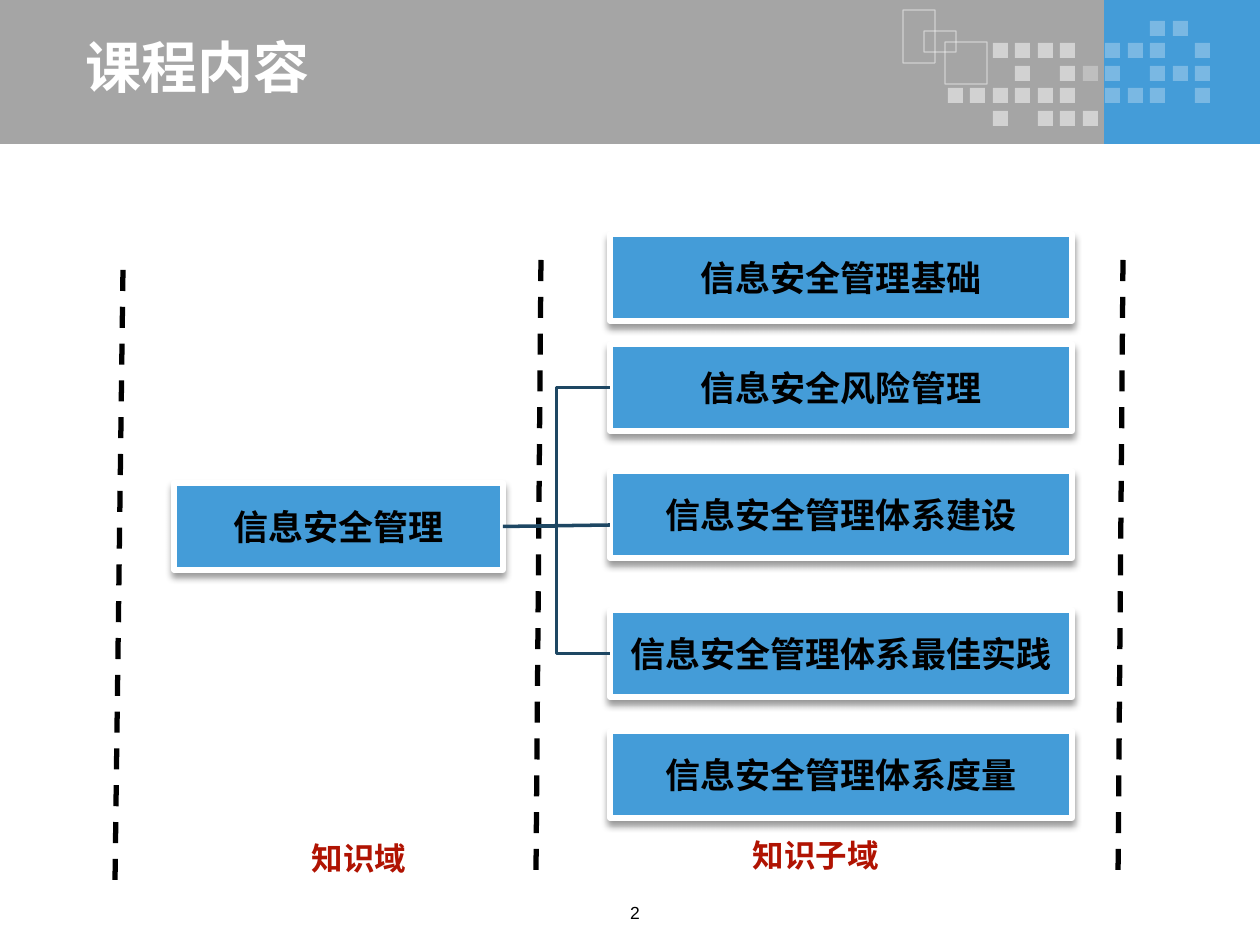
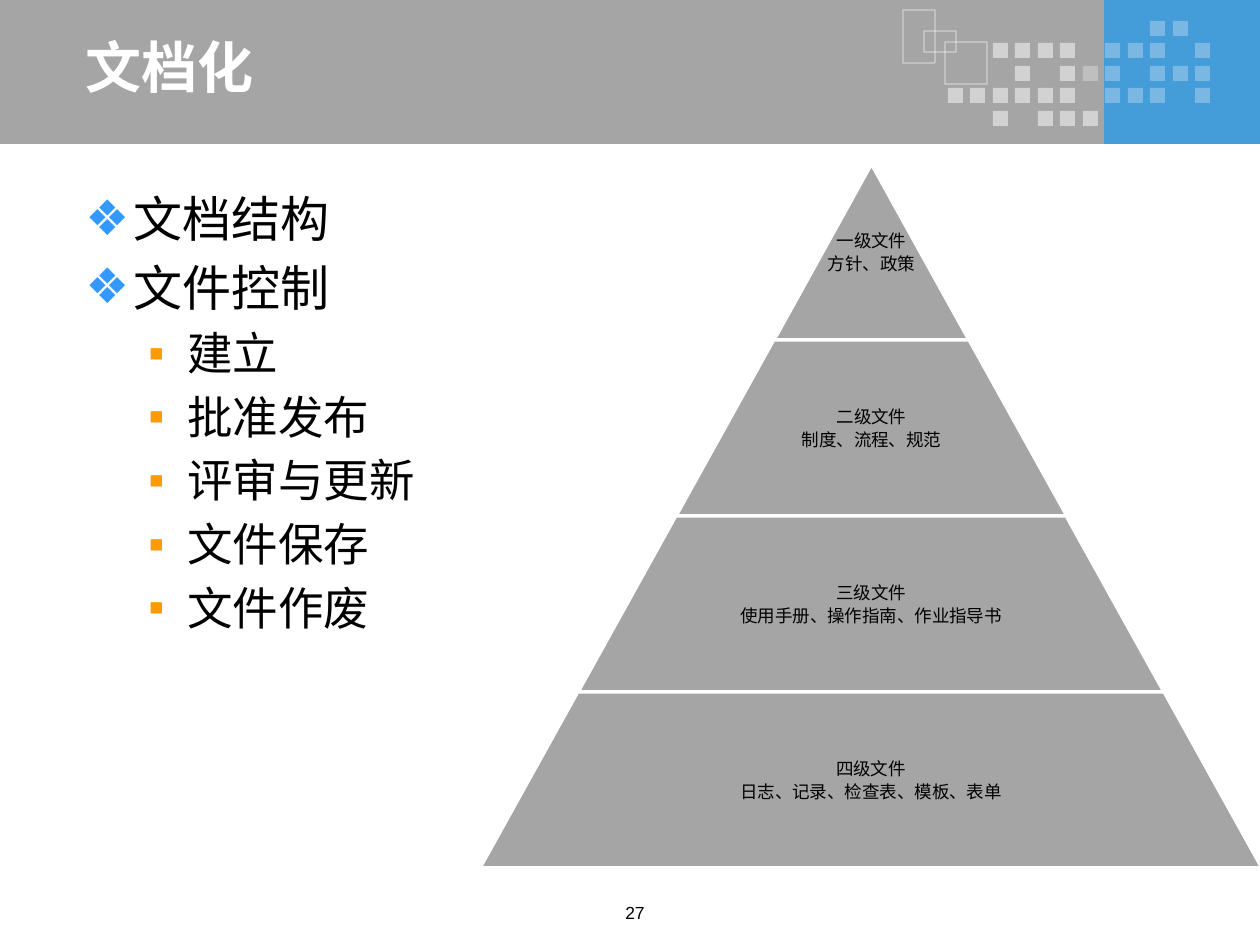
from dataclasses import dataclass
from lxml.etree import SubElement
from pptx import Presentation
from pptx.dml.color import RGBColor as RGB
from pptx.enum.dml import MSO_LINE as Dash
from pptx.enum.shapes import MSO_CONNECTOR as Wire, MSO_SHAPE as Kind
from pptx.enum.text import MSO_ANCHOR as Anchor, PP_ALIGN as Align
from pptx.oxml.ns import qn
from pptx.util import Emu, Pt


@dataclass(frozen=True)
class Theme:
    blue: str = "449CD8"
    gray: str = "A5A5A5"
    white: str = "FFFFFF"
    black: str = "000000"
    red: str = "B01302"
    navy: str = "1E4763"
    sky: str = "3399FF"
    amber: str = "FF9900"
    latin: str = "Arial"
    han: str = "Noto Sans CJK SC"
    title: int = 32
    main: int = 28
    sub: int = 26
    node: int = 20
    label: int = 18
    small: int = 10


T = Theme()
PX = 914400 / 126  # EMU in one px


def box(slide, area, fill=None, line=None, width=1, alpha=100, kind=Kind.RECTANGLE):
    """Add a preset shape with plain fill, line and opacity."""
    shape = slide.shapes.add_shape(kind, *[Emu(round(v * PX)) for v in area])
    shape.shadow.inherit = False
    for part, color in ((shape.fill, fill), (shape.line.fill, line)):
        if color:
            part.solid()
            part.fore_color.rgb = RGB.from_string(color)
        else:
            part.background()
    if line:
        shape.line.width = Pt(width)
    if alpha < 100:
        for tone in shape.element.spPr.iter(qn("a:srgbClr")):
            SubElement(tone, qn("a:alpha"), val=str(alpha * 1000))
    return shape


def write(shape, lines, size, color=T.black, font=T.latin, bold=False,
          align=Align.CENTER, anchor=Anchor.TOP, wrap=True):
    """Fill a shape with paragraphs of one style and return them."""
    frame = shape.text_frame
    frame.text = "\n".join(lines)
    frame.word_wrap = wrap
    frame.vertical_anchor = anchor
    for para in frame.paragraphs:
        para.alignment = align
        para.font.size = Pt(size)
        para.font.bold = bold
        para.font.color.rgb = RGB.from_string(color)
        para.font.name = font
        SubElement(para._p.pPr.find(qn("a:defRPr")), qn("a:ea"), typeface=font)
    return frame.paragraphs


deck = Presentation()
deck.slide_width, deck.slide_height = Emu(round(1260 * PX)), Emu(round(945 * PX))

# Shared header, title and page number
DOTS = (".........oo.",
        "..####.ooo.o",
        "...#.#oo.ooo",
        "######.ooo.o",
        "..#.###.....")
FRAMES = ((903, 10, 32, 53), (924, 31, 32, 21), (945, 42, 42, 42))
for title, page in (("课程内容", "2"), ("文档化", "27")):
    slide = deck.slides.add_slide(deck.slide_layouts[6])
    box(slide, (1104, 0, 156, 144), T.blue)
    box(slide, (0, 0, 1104, 144), T.gray)
    for row, marks in enumerate(DOTS):
        for col, mark in enumerate(marks):
            if mark != ".":
                area = (948 + col * 45 // 2, 21 + row * 45 // 2, 15, 15)
                box(slide, area, T.white, alpha=50 if mark == "#" else 29)
    for area in FRAMES:
        box(slide, area, line=T.white, width=0.75, alpha=50)
    write(box(slide, (73, 33, 978, 67)), [title], T.title, T.white, T.han, True,
          Align.LEFT, Anchor.MIDDLE)
    write(box(slide, (577, 896, 116, 37)), [page], T.small)

course, docs = deck.slides

# Course: knowledge domain and its subdomains
NODES = (("信息安全管理", 174, 483, 329),
         ("信息安全管理基础", 610, 234, 462),
         ("信息安全风险管理", 610, 344, 462),
         ("信息安全管理体系建设", 610, 471, 462),
         ("信息安全管理体系最佳实践", 610, 610, 462),
         ("信息安全管理体系度量", 610, 731, 462))
nodes = []
for name, x, y, wide in NODES:
    node = box(course, (x, y, wide, 87), T.blue, T.white, 3)
    glow = SubElement(node.element.spPr.find(qn("a:effectLst")), qn("a:outerShdw"),
                      blurRad=str(Pt(4)), dist=str(Pt(3)), dir="5400000",
                      algn="ctr", rotWithShape="0")
    tone = SubElement(glow, qn("a:srgbClr"), val=T.black)
    SubElement(tone, qn("a:alpha"), val="40000")
    write(node, [name], T.node, bold=True, anchor=Anchor.MIDDLE, wrap=False)
    nodes.append(node)

# Course: column labels
for name, area in (("知识域", (284, 833, 150, 50)), ("知识子域", (697, 830, 238, 50))):
    write(box(course, area), [name], T.label, T.red, bold=True)

# Course: dashed dividers and branches, the last three from the domain
WIRES = ((Wire.STRAIGHT, 541, 260, 536, 872, None),
         (Wire.STRAIGHT, 1123, 260, 1118, 882, None),
         (Wire.STRAIGHT, 123, 270, 115, 882, None),
         (Wire.ELBOW, 503, 526, 610, 387, nodes[2]),
         (Wire.ELBOW, 503, 526, 610, 655, nodes[4]),
         (Wire.STRAIGHT, 503, 526, 610, 525, None))
for kind, x1, y1, x2, y2, goal in WIRES:
    ends = [Emu(round(v * PX)) for v in (x1, y1, x2, y2)]
    wire = course.shapes.add_connector(kind, *ends)
    SubElement(wire.element.spPr, qn("a:effectLst"))
    branch = x1 == 503
    wire.line.width = Pt(2 if branch else 3)
    wire.line.color.rgb = RGB.from_string(T.navy if branch else T.black)
    if branch:
        wire.begin_connect(nodes[0], 3)
    else:
        wire.line.dash_style = Dash.DASH
    if goal:
        wire.end_connect(goal, 1)

# Documents: bullet list
ITEMS = ("文档结构", "文件控制", "建立", "批准发布", "评审与更新", "文件保存", "文件作废")
body = box(docs, (73, 173, 400, 703))
for i, para in enumerate(write(body, ITEMS, T.main, font=T.han, align=Align.LEFT)):
    sign, color, left, hang, pitch = "❖", T.sky, 48, 48, 39.1
    if i > 1:
        sign, color, left, hang, pitch = "▪", T.amber, 102, 39, 36.4
        para.level = 1
        para.font.size = Pt(T.sub)
    para.line_spacing = Pt(pitch)
    props = para._p.pPr
    props.set("marL", str(round(left * PX)))
    props.set("indent", str(round(-hang * PX)))
    tint = SubElement(props, qn("a:buClr"))
    SubElement(tint, qn("a:srgbClr"), val=color)
    face = SubElement(props, qn("a:buFont"), typeface=T.latin)
    char = SubElement(props, qn("a:buChar"), char=sign)
    for part in (tint, face, char):
        props.find(qn("a:defRPr")).addprevious(part)

# Documents: pyramid of four levels
LEVELS = (("一级文件", "方针、政策"),
          ("二级文件", "制度、流程、规范"),
          ("三级文件", "使用手册、操作指南、作业指导书"),
          ("四级文件", "日志、记录、检查表、模板、表单"))
for i, lines in enumerate(LEVELS):
    wide = 1565 * (i + 1) // 8
    area = (871 - wide // 2, 164 + 176 * i, wide, 176)
    tier = box(docs, area, T.gray, T.white, 2, kind=Kind.TRAPEZOID)
    tier.adjustments[0] = 0.555
    for para in write(box(docs, area), lines, T.small, font=T.han, anchor=Anchor.MIDDLE):
        para.space_after = Pt(1)

deck.save("out.pptx")
